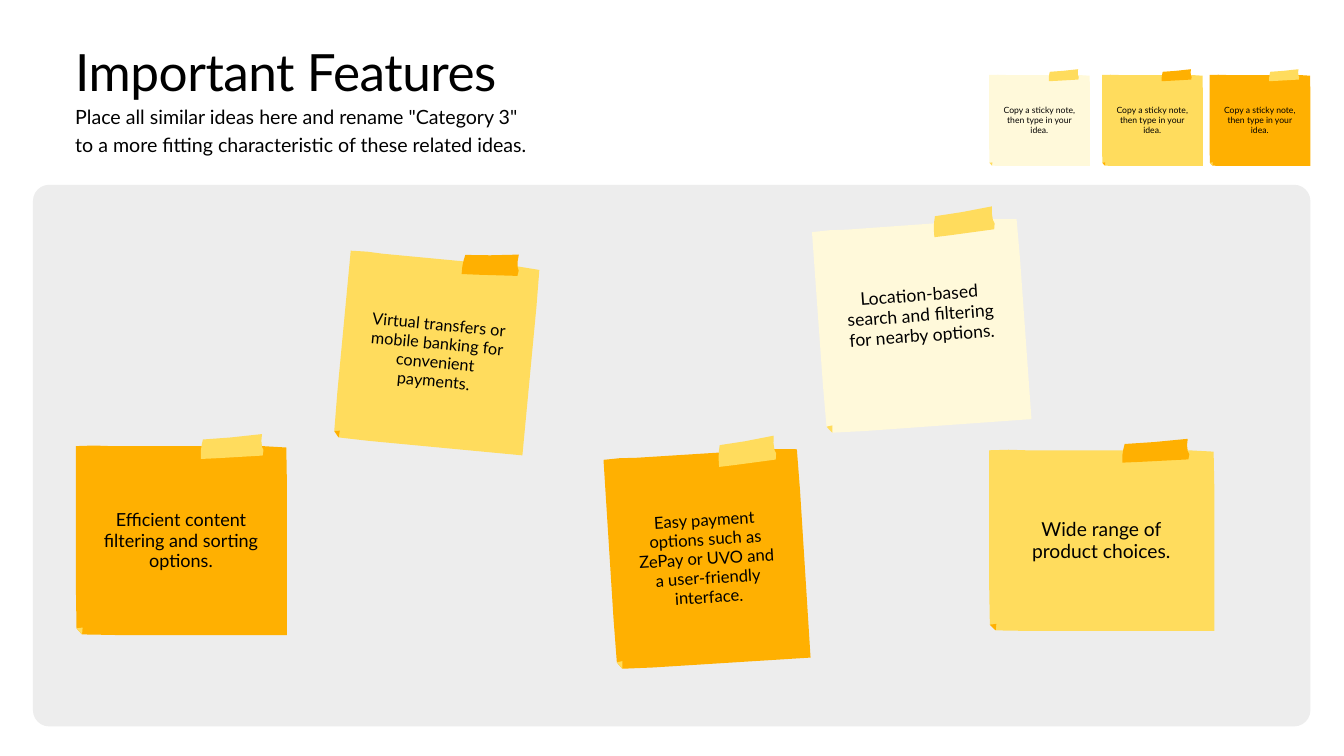
from pptx import Presentation
from pptx.dml.color import RGBColor
from pptx.enum.shapes import MSO_SHAPE as SHAPE
from pptx.enum.text import PP_ALIGN as ALIGN
from pptx.util import Pt

PX = 9144
FONT = "Lato"
BLACK, WHITE, GRAY = "000000", "FFFFFF", "EDEDED"
CREAM, YELLOW, ORANGE = "FFF9DA", "FFDC5D", "FFB001"

# fmt: off
PAPER = [(0, 60), (0, 284), (0, 769), (3, 967), (29, 997), (188, 1000), (1000, 1000),
         (1000, 251), (997, 67), (885, 60), (166, 60), (86, 57)]
FOLD = [(3, 967), (29, 997), (32, 963)]
TAPE = [(602, 27), (732, 17), (882, 0), (879, 33), (882, 64), (889, 80), (885, 107),
        (672, 120), (592, 124), (592, 84), (596, 54)]
# fmt: on

PROMPT = "Copy a sticky note, then type in your idea."
NOTES = [
    ((1218, 315, 306, 320), -4.1, CREAM, YELLOW, 4,
     "Location-based search and filtering for nearby options."),
    ((907, 655, 289, 333), -3.6, ORANGE, YELLOW, 5,
     "Easy payment options such as ZePay or UVO and a user-friendly interface."),
    ((509, 368, 283, 297), 5.4, YELLOW, ORANGE, 4,
     "Virtual transfers or mobile banking for convenient payments."),
    ((1800, 103, 150, 144), 0, ORANGE, YELLOW, 3, PROMPT),
    ((1640, 103, 150, 144), 0, YELLOW, ORANGE, 3, PROMPT),
    ((1472, 103, 150, 144), 0, CREAM, YELLOW, 3, PROMPT),
    ((1472, 653, 335, 286), 0, YELLOW, ORANGE, 2, "Wide range of product choices."),
    ((113, 646, 314, 299), 0, ORANGE, YELLOW, 3,
     "Efficient content filtering and sorting options."),
]


def emu(*lengths):
    return [round(n * PX) for n in lengths]


def paint(fill, color):
    fill.solid()
    fill.fore_color.rgb = RGBColor.from_string(color)


def finish(sp, color):
    sp.shadow.inherit = False
    paint(sp.fill, color)
    sp.line.fill.background()


def add_text(shapes, box, text, size, leading, align=ALIGN.LEFT, tracking=0):
    tf = shapes.add_textbox(*emu(*box)).text_frame
    tf.word_wrap = True
    tf.margin_left = tf.margin_top = tf.margin_right = tf.margin_bottom = 0
    tf.text = text
    for p in tf.paragraphs:
        p.alignment = align
        p.line_spacing = Pt(leading)
        for r in p.runs:
            r.font.name = FONT
            r.font.size = Pt(size)
            r.font.color.rgb = RGBColor.from_string(BLACK)
            if tracking:
                r._r.get_or_add_rPr().set("spc", str(tracking))


def add_outline(shapes, box, contours, color):
    left, top, width, height = box
    builder = None
    for contour in contours:
        points = [emu(left + x * width / 1000, top + y * height / 1000) for x, y in contour]
        if builder is None:
            builder = shapes.build_freeform(*points[0], scale=1.0)
        else:
            builder.move_to(*points[0])
        builder.add_line_segments(points[1:], close=True)
    finish(builder.convert_to_shape(), color)


def add_note(s, box, angle, paper, tape, lines, text):
    left, top, width, height = box
    group = s.shapes.add_group_shape()
    add_outline(group.shapes, box, [PAPER], paper)
    add_outline(group.shapes, box, [FOLD, TAPE], tape)
    size = round(width * 0.0615, 1)
    leading = round(size * 1.16, 1)
    text_height = lines * leading * 100 / 72
    text_box = (left + 0.13 * width, top + 0.528 * height - text_height / 2,
                0.736 * width, text_height)
    add_text(group.shapes, text_box, text, size, leading, ALIGN.CENTER)
    group.rotation = angle


def add_panel(s, box):
    sp = s.shapes.add_shape(SHAPE.ROUNDED_RECTANGLE, *emu(*box))
    sp.adjustments[0] = 0.03
    finish(sp, GRAY)


def add_header(s, box):
    left, top, width, height = box
    add_text(s.shapes, (left, top, width, 99), "Important Features", 55, 77, tracking=-50)
    add_text(s.shapes, (left, top + 107, width, height - 107),
             'Place all similar ideas here and rename "Category 3"\n'
             "to a more fitting characteristic of these related ideas.", 21, 29.4)


def main():
    prs = Presentation()
    prs.slide_width, prs.slide_height = emu(2000, 1125)
    s = prs.slides.add_slide(prs.slide_layouts[6])
    paint(s.background.fill, WHITE)
    add_panel(s, (49, 275, 1901, 806))
    add_header(s, (112, 44, 766, 186))
    for note in NOTES:
        add_note(s, *note)
    prs.save("out.pptx")


if __name__ == "__main__":
    main()
